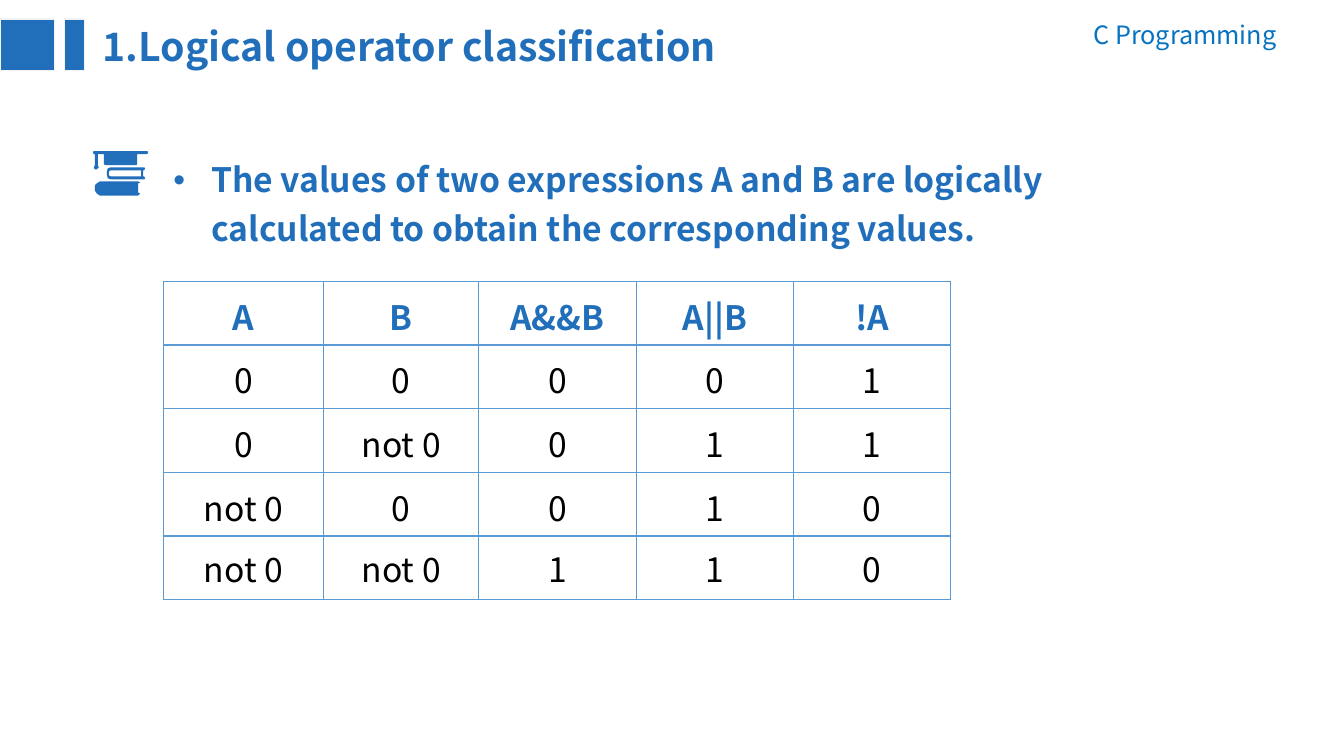
from lxml import etree
from pptx import Presentation
from pptx.dml.color import RGBColor
from pptx.enum.shapes import MSO_SHAPE
from pptx.enum.text import MSO_ANCHOR, MSO_AUTO_SIZE, PP_ALIGN
from pptx.oxml.ns import qn
from pptx.util import Inches, Pt

RECTANGLE = MSO_SHAPE.RECTANGLE
TOP, MIDDLE = MSO_ANCHOR.TOP, MSO_ANCHOR.MIDDLE
NO_FIT = MSO_AUTO_SIZE.NONE
LEFT, CENTER, RIGHT = PP_ALIGN.LEFT, PP_ALIGN.CENTER, PP_ALIGN.RIGHT

FONT = "Noto Sans CJK SC"
COLORS = {
    "main": "216FBA",
    "course": "0573C2",
    "outline": "F2F2F2",
    "grid": "5B9BD5",
    "text": "000000",
}

TRUTH_TABLE = [
    ["A", "B", "A&&B", "A||B", "!A"],
    ["0", "0", "0", "0", "1"],
    ["0", "not 0", "0", "1", "1"],
    ["not 0", "0", "0", "1", "0"],
    ["not 0", "not 0", "1", "1", "0"],
]
COLUMN_WIDTHS = [1.59, 1.54, 1.56, 1.56, 1.56]
ROW_HEIGHT = 0.63

# Contours of the books icon, in hundredths of an inch
LOWER_BOOK = [(139, 192), (137, 194), (99, 194), (95.5, 192.5), (94, 189), (94, 184),
              (95.5, 181.5), (99, 180), (137, 180), (139, 181), (137, 182), (137, 191)]
MIDDLE_BOOK = [(144, 177), (143, 178), (110, 178), (107, 177), (106, 174), (106, 170),
               (107, 167), (110, 166), (143, 166), (144, 167), (143, 169), (142, 169),
               (142, 175), (143, 175)]
MIDDLE_PAGES = [(110, 175), (140, 175), (140, 169), (110, 169), (108, 170), (108, 174)]
CAP = [(146, 150), (93, 150), (92, 151), (93, 153), (94, 153), (94, 164), (93, 166),
       (94, 167.5), (96, 168), (98, 166), (97, 164), (97, 153), (103, 153), (103, 163),
       (105, 164), (135, 164), (136, 163), (136, 153), (146, 153), (147, 151)]


class SlideBuilder:
    def __init__(self, page):
        self.page = page

    def color(self, name):
        return RGBColor.from_string(COLORS[name])

    def style(self, para, size, color, bold=False, align=LEFT, spacing=1.0):
        para.alignment = align
        para.line_spacing = spacing
        para.space_before = Pt(0)
        font = para.font
        font.name, font.size, font.bold = FONT, Pt(size), bold
        font.color.rgb = self.color(color)

    def text(self, box, area, words, size, color, **options):
        box.left, box.top, box.width, box.height = map(Inches, area)
        frame = box.text_frame
        frame.word_wrap = True
        frame.auto_size = NO_FIT
        frame.vertical_anchor = TOP
        frame.text = words
        self.style(frame.paragraphs[0], size, color, **options)

    def text_box(self, area, words, size, color, **options):
        box = self.page.shapes.add_textbox(*map(Inches, area))
        self.text(box, area, words, size, color, **options)

    def body(self, area, words, size, color, **options):
        box = self.page.placeholders[1]
        box.text_frame.text = ""
        properties = box.text_frame.paragraphs[0]._p.get_or_add_pPr()
        properties.set("marL", "0")
        properties.set("indent", "0")
        etree.SubElement(properties, qn("a:buNone"))
        self.text(box, area, words, size, color, **options)

    def block(self, *area):
        shape = self.page.shapes.add_shape(RECTANGLE, *map(Inches, area))
        shape.shadow.inherit = False
        shape.fill.solid()
        shape.fill.fore_color.rgb = self.color("main")
        shape.line.color.rgb = self.color("outline")
        shape.line.width = Pt(1)

    def icon(self, contours):
        builder = self.page.shapes.build_freeform(*contours[0][0], scale=Inches(0.01))
        for number, contour in enumerate(contours):
            if number:
                builder.move_to(*contour[0])
            builder.add_line_segments(contour[1:], close=True)
        shape = builder.convert_to_shape()
        shape.shadow.inherit = False
        shape.fill.solid()
        shape.fill.fore_color.rgb = self.color("main")
        shape.line.fill.background()

    def borders(self, cell):
        properties = cell._tc.get_or_add_tcPr()
        for position, side in enumerate(("lnL", "lnR", "lnT", "lnB")):
            line = etree.Element(qn("a:" + side), w=str(Pt(1)))
            fill = etree.SubElement(line, qn("a:solidFill"))
            etree.SubElement(fill, qn("a:srgbClr"), val=COLORS["grid"])
            properties.insert(position, line)

    def table(self, left, top, rows, widths, row_height):
        frame = self.page.shapes.add_table(
            len(rows), len(widths), Inches(left), Inches(top),
            Inches(sum(widths)), Inches(row_height * len(rows)))
        table = frame.table
        table.first_row = table.horz_banding = False
        for column, width in zip(table.columns, widths):
            column.width = Inches(width)
        for r, values in enumerate(rows):
            table.rows[r].height = Inches(row_height)
            header, last = r == 0, r == len(rows) - 1
            for c, value in enumerate(values):
                cell = table.cell(r, c)
                cell.text = value
                cell.vertical_anchor = MIDDLE
                cell.fill.background()
                self.borders(cell)
                self.style(cell.text_frame.paragraphs[0], 24,
                           "main" if header else "text", bold=header,
                           align=CENTER, spacing=1.0 if last else 1.1)


def main():
    deck = Presentation()
    deck.slide_width, deck.slide_height = Inches(13.33), Inches(7.5)
    page = deck.slides.add_slide(deck.slide_layouts[1])
    builder = SlideBuilder(page)

    # Header
    builder.text_box((9.76, 0.14, 3, 0.4), "C Programming", 18, "course", align=RIGHT)
    builder.text(page.shapes.title, (0.92, 0.17, 8.03, 1.04),
                 "1.Logical operator classification", 28, "main", bold=True)
    builder.block(0, 0.19, 0.54, 0.51)
    builder.block(0.64, 0.19, 0.2, 0.51)

    # Statement with the books icon
    builder.body((1.62, 1.45, 8.9, 1.07),
                 "The values of two expressions A and B are logically calculated "
                 "to obtain the corresponding values.",
                 24, "main", bold=True, spacing=1.2)
    builder.icon([LOWER_BOOK, MIDDLE_BOOK, MIDDLE_PAGES, CAP])

    # Truth table
    builder.table(1.62, 2.79, TRUTH_TABLE, COLUMN_WIDTHS, ROW_HEIGHT)

    deck.save("out.pptx")


if __name__ == "__main__":
    main()
